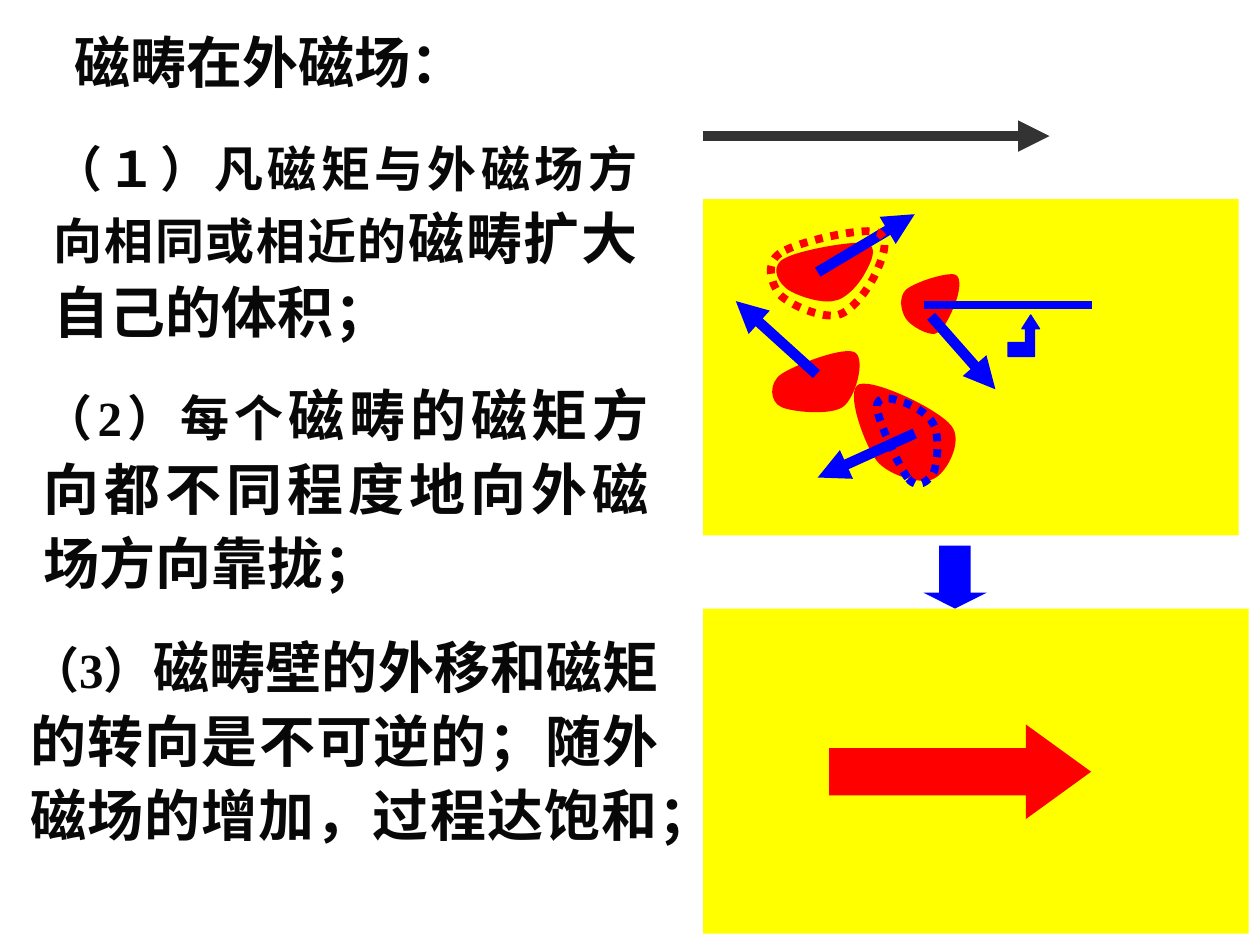
import pptx
import pptx.util
import pptx.dml.color
import pptx.enum.dml
import pptx.enum.shapes
import pptx.enum.text
import pptx.oxml
import pptx.oxml.ns
from dataclasses import dataclass

Inches = pptx.util.Inches
Pt = pptx.util.Pt
RGB = pptx.dml.color.RGBColor
Kind = pptx.enum.shapes.MSO_SHAPE
Align = pptx.enum.text.PP_ALIGN
NS = pptx.oxml.ns.nsdecls("a")


@dataclass
class Theme:
    ink: RGB = RGB(8, 8, 8)
    gray: RGB = RGB(0x33, 0x33, 0x33)
    blue: RGB = RGB(0, 0, 255)
    red: RGB = RGB(255, 0, 0)
    yellow: RGB = RGB(255, 255, 0)
    small: int = 28
    large: int = 32
    serif: str = "Times New Roman"
    sans: str = "Noto Sans CJK SC"


def paint(shape, fill=None, line=None, width=0.75):
    shape.shadow.inherit = False
    if fill is None:
        shape.fill.background()
    else:
        shape.fill.solid()
        shape.fill.fore_color.rgb = fill
    if line is None:
        shape.line.fill.background()
    else:
        shape.line.color.rgb = line
        shape.line.width = Pt(width)


def trace(shapes, spots, curved=True):
    start, *rest = [(Inches(x), Inches(y)) for x, y in spots]
    pen = shapes.build_freeform(*start)
    pen.add_line_segments(rest, close=True)
    shape = pen.convert_to_shape()
    if curved:
        legs = shape._element.xpath(".//a:lnTo")
        for first in range(0, len(legs), 3):
            curve = pptx.oxml.parse_xml(f"<a:cubicBezTo {NS}/>")
            legs[first].addprevious(curve)
            for leg in legs[first:first + 3]:
                curve.append(leg[0])
                leg.getparent().remove(leg)
    return shape


theme = Theme()
deck = pptx.Presentation()
deck.slide_width = Inches(10)
deck.slide_height = Inches(7.5)
slide = deck.slides.add_slide(deck.slide_layouts[6])
shapes = slide.shapes

notes = [
    ((0.49, 0.17, 3.31, 0.64), "", "磁畴在外磁场："),
    ((0.33, 1, 4.83, 1.79), "（１）凡磁矩与外磁场方向相同或相近的", "磁畴扩大自己的体积；"),
    ((0.25, 2.92, 5, 1.86), "（2）每个", "磁畴的磁矩方向都不同程度地向外磁场方向靠拢；"),
    ((0.14, 4.92, 5.19, 2.45), "（3）", "磁畴壁的外移和磁矩的转向是不可逆的；随外磁场的增加，过程达饱和；"),
]
for area, lead, body in notes:
    frame = shapes.add_textbox(*map(Inches, area)).text_frame
    frame.word_wrap = True
    frame.auto_size = pptx.enum.text.MSO_AUTO_SIZE.SHAPE_TO_FIT_TEXT
    para = frame.paragraphs[0]
    para.alignment = Align.JUSTIFY if lead else Align.LEFT
    para.line_spacing = 1.1 if lead else 1.0
    for text, size, face in ((lead, theme.small, theme.serif), (body, theme.large, theme.sans)):
        if text:
            run = para.add_run()
            run.text = text
            run.font.size = Pt(size)
            run.font.bold = True
            run.font.color.rgb = theme.ink
            run.font.name = face
            run.font._element.append(
                pptx.oxml.parse_xml(f'<a:ea {NS} typeface="{theme.sans}"/>'))

blocks = [
    (Kind.RECTANGLE, (5.58, 1.58, 4.25, 2.67), theme.yellow, ()),
    (Kind.RECTANGLE, (5.58, 4.83, 4.33, 2.58), theme.yellow, ()),
    (Kind.DOWN_ARROW, (7.33, 4.33, 0.5, 0.5), theme.blue, (0.5, 0.25)),
    (Kind.RIGHT_ARROW, (6.58, 5.75, 2.08, 0.75), theme.red, (0.5, 0.69)),
]
for kind, area, fill, bends in blocks:
    block = shapes.add_shape(kind, *map(Inches, area))
    paint(block, fill)
    for spot, bend in enumerate(bends):
        block.adjustments[spot] = bend

domains = [
    [(6.23, 2.05), (6.12, 2.1), (6.16, 2.22), (6.23, 2.28), (6.29, 2.34), (6.51, 2.41),
     (6.61, 2.39), (6.72, 2.38), (6.83, 2.24), (6.87, 2.16), (6.91, 2.09), (6.98, 1.95),
     (6.87, 1.93), (6.76, 1.91), (6.33, 1.99), (6.23, 2.05)],
    [(6.2, 2.97), (6.1, 3.04), (6.11, 3.19), (6.2, 3.23), (6.28, 3.27), (6.59, 3.3),
     (6.69, 3.23), (6.79, 3.16), (6.87, 2.86), (6.79, 2.8), (6.71, 2.74), (6.3, 2.9),
     (6.2, 2.97)],
    [(6.96, 3.66), (7.06, 3.78), (7.32, 3.85), (7.41, 3.8), (7.51, 3.76), (7.65, 3.5),
     (7.55, 3.38), (7.45, 3.25), (6.95, 3.01), (6.82, 3.05), (6.7, 3.09), (6.86, 3.53),
     (6.96, 3.66)],
    [(7.19, 2.3), (7.13, 2.36), (7.15, 2.47), (7.19, 2.53), (7.23, 2.59), (7.36, 2.66),
     (7.42, 2.65), (7.49, 2.63), (7.55, 2.49), (7.58, 2.41), (7.61, 2.34), (7.64, 2.2),
     (7.58, 2.18), (7.51, 2.16), (7.26, 2.24), (7.19, 2.3)],
]
for spots in domains:
    paint(trace(shapes, spots), theme.red)

lines = [
    (5.58, 1.08, 8.33, 1.08, theme.gray, 6, True),
    (6.49, 2.16, 7.26, 1.7, theme.blue, 6, True),
    (7.39, 2.51, 7.9, 3.09, theme.blue, 6, True),
    (6.48, 2.97, 5.84, 2.39, theme.blue, 6, True),
    (7.26, 3.44, 6.49, 3.79, theme.blue, 6, True),
    (7.33, 2.42, 8.67, 2.42, theme.blue, 4.5, False),
]
for *ends, hue, width, tip in lines:
    link = shapes.add_connector(pptx.enum.shapes.MSO_CONNECTOR.STRAIGHT, *map(Inches, ends))
    link.line.color.rgb = hue
    link.line.width = Pt(width)
    if tip:
        link.line._get_or_add_ln().append(
            pptx.oxml.parse_xml(f'<a:tailEnd {NS} type="triangle"/>'))
    link._element.spPr.append(pptx.oxml.parse_xml(f"<a:effectLst {NS}/>"))

walls = [
    (theme.red,
     [(6.19, 2.01), (6.07, 2.09), (6.12, 2.25), (6.19, 2.34), (6.27, 2.42), (6.52, 2.53),
      (6.65, 2.5), (6.77, 2.47), (6.9, 2.28), (6.95, 2.17), (7, 2.06), (7.08, 1.87),
      (6.95, 1.84), (6.82, 1.81), (6.32, 1.92), (6.19, 2.01)]),
    (theme.blue,
     [(7.21, 3.8), (7.28, 3.89), (7.37, 3.82), (7.41, 3.75), (7.44, 3.68), (7.46, 3.47),
      (7.41, 3.37), (7.37, 3.28), (7.23, 3.21), (7.16, 3.19), (7.08, 3.16), (6.95, 3.13),
      (6.96, 3.24), (6.97, 3.34), (7.14, 3.72), (7.21, 3.8)]),
]
for hue, spots in walls:
    wall = trace(shapes, spots)
    paint(wall, None, hue, 4.5)
    wall.line.dash_style = pptx.enum.dml.MSO_LINE.ROUND_DOT

turn = [(8.18, 2.5), (8.11, 2.61), (8.14, 2.61), (8.14, 2.72), (8, 2.72),
        (8, 2.83), (8.21, 2.83), (8.21, 2.61), (8.25, 2.61)]
paint(trace(shapes, turn, curved=False), theme.blue, theme.blue)

deck.save("out.pptx")
